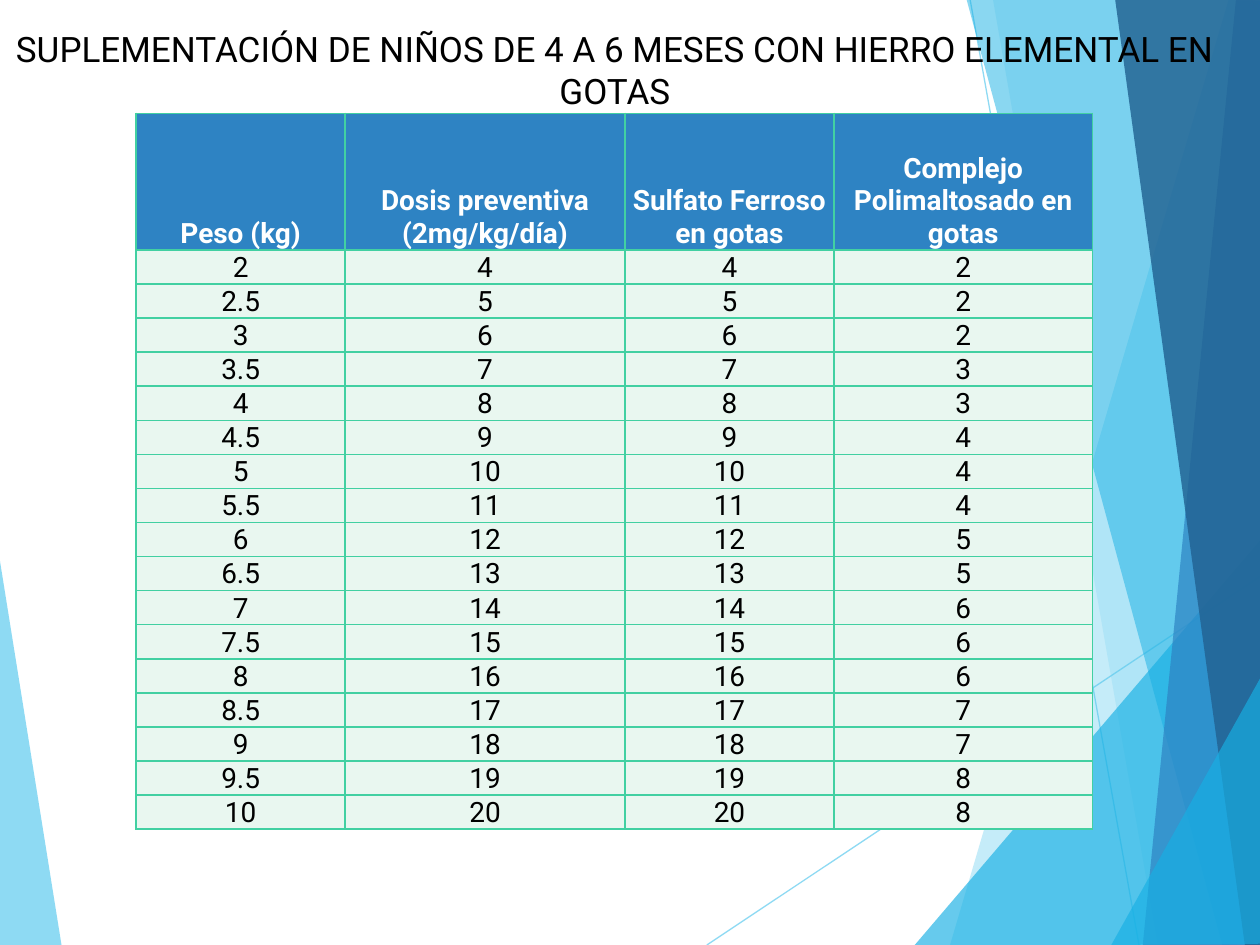
from lxml import etree
from pptx import Presentation
from pptx.dml.color import RGBColor
from pptx.enum.shapes import MSO_CONNECTOR
from pptx.enum.text import MSO_ANCHOR, MSO_AUTO_SIZE, PP_ALIGN
from pptx.oxml import parse_xml
from pptx.oxml.ns import nsdecls, qn
from pptx.util import Inches, Pt

SKY = RGBColor(0x5F, 0xCB, 0xEF)
CYAN = RGBColor(0x17, 0xB0, 0xE4)
BLUE = RGBColor(0x2E, 0x83, 0xC3)
NAVY = RGBColor(0x22, 0x62, 0x92)
MINT = RGBColor(0xE9, 0xF7, 0xF0)
GREEN = RGBColor(0x42, 0xD0, 0xA2)
BLACK = RGBColor(0, 0, 0)
WHITE = RGBColor(0xFF, 0xFF, 0xFF)

LEFT_FACET = ([(-0.01, 4.39), (0.49, 7.51), (-0.01, 7.5)], SKY, 70)
RAYS = [((5.61, 7.5), (10.01, 4.57)), ((7.7, 0), (9.04, 7.5))]
RIGHT_FACETS = [
    ([(9.75, 0), (7.54, 7.5), (10.02, 7.51), (10.01, 0.01)], SKY, 36),
    ([(7.88, -0.01), (9.19, 7.5), (10.01, 7.5), (10.01, -0.01)], SKY, 20),
    ([(7.26, 7.5), (10, 4.29), (10.01, 7.5)], CYAN, 66),
    ([(7.67, -0.01), (9.7, 7.5), (10.01, 7.49), (10.01, -0.01)], CYAN, 50),
    ([(9.81, -0.01), (9.07, 7.5), (10.01, 7.5), (10, -0.01)], BLUE, 70),
    ([(8.85, -0.01), (9.88, 7.5), (10.02, 7.5), (10, -0.01)], NAVY, 82),
    ([(8.82, 7.5), (10.02, 5.35), (10.02, 7.49)], CYAN, 66),
]

TITLE = "SUPLEMENTACIÓN DE NIÑOS DE 4 A 6 MESES CON HIERRO ELEMENTAL EN GOTAS"
HEADERS = ["Peso (kg)", "Dosis preventiva (2mg/kg/día)",
           "Sulfato Ferroso en gotas", "Complejo Polimaltosado en gotas"]
COMPLEX_DROPS = [2, 2, 2, 3, 3, 4, 4, 4, 5, 5, 6, 6, 6, 7, 7, 8, 8]
COLUMN_WIDTHS = [1.66, 2.22, 1.66, 2.05]
HEADER_HEIGHT, ROW_HEIGHT = Pt(78), Pt(19.5)


def dose_rows():
    """Weights rise by half a kilo; the dose and sulfate drops are twice the weight."""
    rows = []
    for index, drops in enumerate(COMPLEX_DROPS):
        weight = 2 + index / 2
        dose = f"{2 * weight:g}"
        rows.append([f"{weight:g}", dose, dose, str(drops)])
    return rows


def set_opacity(fill_parent, percent):
    color = next(fill_parent.iter(qn("a:srgbClr")))
    etree.SubElement(color, qn("a:alpha")).set("val", str(percent * 1000))


class SlideBuilder:
    font = "Roboto"
    title_size = Pt(20)
    table_size = Pt(16)

    def __init__(self, presentation):
        self.slide = presentation.slides.add_slide(presentation.slide_layouts[5])
        self.shapes = self.slide.shapes

    def add_run(self, paragraph, text, size, color, bold=False):
        paragraph.alignment = PP_ALIGN.CENTER
        run = paragraph.add_run()
        run.text = text
        run.font.name = self.font
        run.font.size = size
        run.font.bold = bold
        run.font.color.rgb = color

    def add_facet(self, points, color, opacity):
        corners = [(Inches(x), Inches(y)) for x, y in points]
        builder = self.shapes.build_freeform(*corners[0])
        builder.add_line_segments(corners[1:], close=True)
        shape = builder.convert_to_shape()
        shape.shadow.inherit = False
        shape.fill.solid()
        shape.fill.fore_color.rgb = color
        set_opacity(shape.element.spPr, opacity)
        shape.line.fill.background()

    def add_ray(self, start, end):
        ends = [Inches(value) for value in start + end]
        connector = self.shapes.add_connector(MSO_CONNECTOR.STRAIGHT, *ends)
        connector.line.width = Pt(0.75)
        connector.line.color.rgb = SKY
        properties = connector.element.spPr
        set_opacity(properties, 70)
        etree.SubElement(properties, qn("a:effectLst"))

    def add_title(self, text):
        title = self.shapes.title
        title.left, title.top = Inches(-0.25), Inches(0.17)
        title.width, title.height = Inches(10.17), Inches(0.5)
        # Bring the title in front of the facets.
        title.element.getparent().append(title.element)
        frame = title.text_frame
        frame.word_wrap = True
        frame.auto_size = MSO_AUTO_SIZE.NONE
        frame.vertical_anchor = MSO_ANCHOR.TOP
        paragraph = frame.paragraphs[0]
        paragraph._p.get_or_add_pPr().set("marL", str(Inches(0.09)))
        self.add_run(paragraph, text, self.title_size, BLACK)

    def add_table(self, left, top, headers, rows):
        height = HEADER_HEIGHT + ROW_HEIGHT * len(rows)
        table = self.shapes.add_table(
            len(rows) + 1, len(headers), Inches(left), Inches(top),
            Inches(sum(COLUMN_WIDTHS)), height).table
        table.horz_banding = False
        for column, width in zip(table.columns, COLUMN_WIDTHS):
            column.width = Inches(width)
        for row_index, texts in enumerate([headers] + rows):
            is_header = row_index == 0
            table.rows[row_index].height = HEADER_HEIGHT if is_header else ROW_HEIGHT
            for column_index, text in enumerate(texts):
                self.fill_cell(table.cell(row_index, column_index), text, is_header)

    def fill_cell(self, cell, text, is_header):
        cell.margin_left = cell.margin_right = cell.margin_top = Inches(0.01)
        cell.margin_bottom = 0
        cell.vertical_anchor = MSO_ANCHOR.BOTTOM
        properties = cell._tc.get_or_add_tcPr()
        for side in "LRTB":
            properties.append(parse_xml(
                f'<a:ln{side} {nsdecls("a")} w="{Pt(1)}"><a:solidFill>'
                f'<a:srgbClr val="{GREEN}"/></a:solidFill></a:ln{side}>'))
        cell.fill.solid()
        cell.fill.fore_color.rgb = BLUE if is_header else MINT
        self.add_run(cell.text_frame.paragraphs[0], text, self.table_size,
                     WHITE if is_header else BLACK, bold=is_header)


def main():
    presentation = Presentation()
    presentation.slide_width, presentation.slide_height = Inches(10), Inches(7.5)
    builder = SlideBuilder(presentation)
    builder.add_facet(*LEFT_FACET)
    for start, end in RAYS:
        builder.add_ray(start, end)
    for facet in RIGHT_FACETS:
        builder.add_facet(*facet)
    builder.add_title(TITLE)
    builder.add_table(1.08, 0.9, HEADERS, dose_rows())
    presentation.save("out.pptx")


if __name__ == "__main__":
    main()
